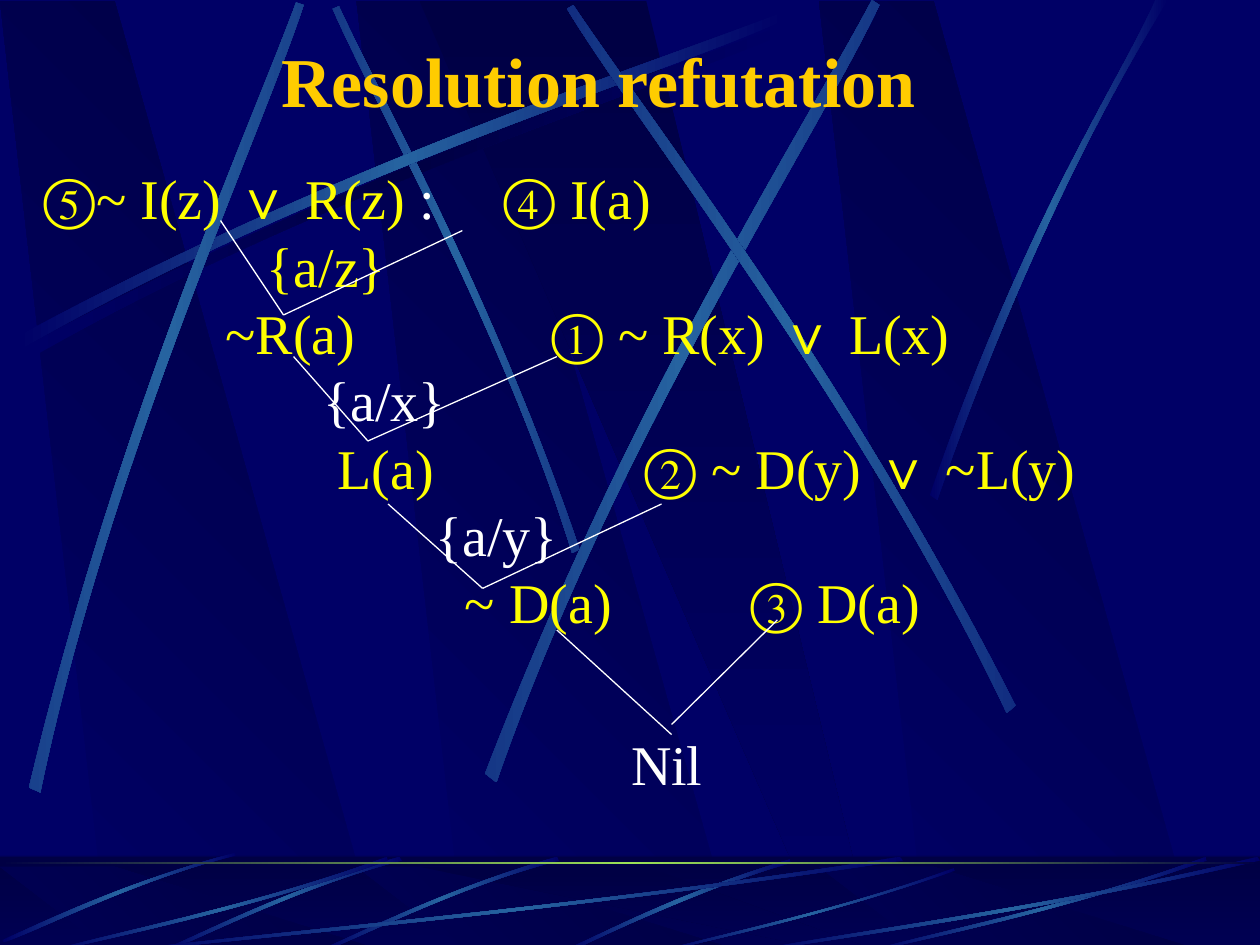
"""Build the slide that shows a resolution refutation as a tree."""
from math import cos, radians, sin

from lxml.etree import SubElement
from pptx import Presentation
from pptx.dml.color import RGBColor
from pptx.enum.shapes import MSO_CONNECTOR as Connector, MSO_SHAPE as Shape
from pptx.enum.text import MSO_ANCHOR as Anchor, PP_ALIGN as Align
from pptx.oxml import parse_xml
from pptx.oxml.ns import nsdecls, qn
from pptx.util import Inches, Pt

NAVY = RGBColor(0x00, 0x00, 0x66)
DARK = RGBColor(0x00, 0x00, 0x44)
STEEL = RGBColor(0x26, 0x63, 0xA0)
LIME = RGBColor(0x9C, 0xE1, 0x57)
GOLD = RGBColor(0xFF, 0xCC, 0x00)
YELLOW = RGBColor(0xFF, 0xFF, 0x00)
WHITE = RGBColor(0xFF, 0xFF, 0xFF)
SERIF, SANS = "Times New Roman", "Arial"

GLOW = (NAVY, STEEL, NAVY)
SHADE = (NAVY, DARK, NAVY)

LONG_ARC = ((0.14, 2.67), (2.78, 1.25), (5.18, 0.51), (6.2, 0.1),
            (6.23, 0.16), (5.22, 0.61), (2.48, 1.43), (0.17, 2.77))
SHORT_ARC = ((3.17, 6.8), (2.3, 7.05), (1.62, 7.4), (1.31, 7.53),
             (1.32, 7.55), (1.63, 7.43), (2.4, 7.03), (3.19, 6.83))
FLOOR_ARC = ((3.08, 6.83), (1.93, 7.23), (0.88, 7.44), (0.43, 7.55),
             (0.42, 7.54), (0.86, 7.41), (2.06, 7.18), (3.07, 6.8))

WALL_STREAKS = (
    (((4.6, 4.36), (3.91, 2.34), (3.02, 0.77), (2.69, 0.05),
      (2.64, 0.07), (2.95, 0.79), (3.98, 2.58), (4.54, 4.39)), 45),
    (LONG_ARC, 0),
    (((0.23, 6.25), (0.93, 3.34), (1.97, 1.05), (2.35, 0.02),
      (2.41, 0.04), (2.07, 1.08), (0.86, 3.68), (0.32, 6.29)), 311.7),
    (((3.85, 6.14), (4.98, 3.2), (6.38, 1.02), (6.92, 0),
      (6.98, 0.04), (6.49, 1.08), (4.86, 3.55), (3.94, 6.21)), 321.6),
    (((8.06, 5.6), (6.7, 2.93), (5.16, 0.95), (4.55, 0.04),
      (4.5, 0.07), (5.07, 1.01), (6.85, 3.25), (7.99, 5.66)), 34.8),
    (((7.38, 3.93), (8.14, 1.73), (8.88, 0.66), (9.17, 0),
      (9.27, 0), (8.36, 1.45), (7.69, 3.22), (7.44, 3.97)), 0),
)


def moved(points, dx, dy=0):
    """Return the points shifted by dx and dy."""
    return tuple((x + dx, y + dy) for x, y in points)


FLOOR_STREAKS = (
    (((6.27, 6.82), (5.37, 7.09), (4.77, 7.42), (4.48, 7.54),
      (4.53, 7.55), (4.9, 7.37), (5.71, 7), (6.28, 6.85)), 0),
    (moved(SHORT_ARC, 1.25), 314.9),
    (SHORT_ARC, 314.9),
    (((1.86, 6.77), (0.99, 7), (0.32, 7.33), (0.02, 7.46),
      (0.03, 7.48), (0.34, 7.37), (1.09, 6.98), (1.87, 6.79)), 314.9),
    (((7.17, 6.83), (4.49, 7.23), (2.06, 7.44), (1.03, 7.55),
      (1, 7.54), (2.02, 7.41), (4.8, 7.18), (7.14, 6.8)), 0),
    (FLOOR_ARC, 0),
    (((7.58, 6.91), (6.58, 7.26), (5.67, 7.45), (5.28, 7.55),
      (5.27, 7.54), (5.65, 7.43), (6.69, 7.22), (7.57, 6.89)), 0),
    (moved(FLOOR_ARC, 6.5), 0),
    (((10, 6.83), (8.27, 7.23), (6.69, 7.44), (6.02, 7.55),
      (6, 7.54), (6.66, 7.41), (8.46, 7.18), (9.98, 6.8)), 0),
)

OR = ("∨", YELLOW, SANS)
CLAUSES = (
    ((3.65,), (("⑤~ I(z) ", YELLOW), OR, (" R(z)", YELLOW),
               (" :\t", WHITE), ("④ I(a)", YELLOW))),
    ((1.77,), (("\t{a/z}", YELLOW),)),
    ((1.44, 4.03), (("\t~R(a)\t① ~ R(x) ", YELLOW), OR, (" L(x)", YELLOW))),
    ((2.22,), (("\t{a/x}", WHITE),)),
    ((2.33, 4.77), (("\tL(a)\t② ~ D(y) ", YELLOW), OR, (" ~L(y)", YELLOW))),
    ((3.11,), (("\t{a/y}", WHITE),)),
    ((3.34, 5.61), (("\t~ D(a)\t③ D(a)", YELLOW),)),
    ((4.66,), (("\tNil", WHITE),)),
)
BRANCHES = (
    (1.75, 1.75, 2.25, 2.5), (3.67, 1.83, 2.25, 2.5),
    (2.33, 2.83, 2.92, 3.5), (4.42, 2.83, 2.92, 3.5),
    (3.08, 4, 3.83, 4.67), (5.25, 4, 3.83, 4.67),
    (4.42, 5, 5.33, 5.83), (6.17, 4.92, 5.33, 5.75),
)


def paint(shape, colours, angle=0):
    """Fill a shape with an even linear gradient and no outline."""
    shape.shadow.inherit = False
    shape.line.fill.background()
    stops = "".join(
        f'<a:gs pos="{100000 * i // (len(colours) - 1)}"><a:srgbClr val="{colour}"/></a:gs>'
        for i, colour in enumerate(colours))
    gradient = parse_xml(
        f'<a:gradFill {nsdecls("a")} rotWithShape="0"><a:gsLst>{stops}</a:gsLst>'
        f'<a:lin ang="{angle * 60000}" scaled="1"/></a:gradFill>')
    shape.element.spPr.find(qn("a:ln")).addprevious(gradient)


def add_outline(shapes, points):
    """Add a closed freeform through points in inches."""
    corners = [(Inches(x), Inches(y)) for x, y in points]
    builder = shapes.build_freeform(*corners[0], scale=1.0)
    builder.add_line_segments(corners[1:], close=True)
    return builder.convert_to_shape()


def turned(x, y, angle):
    """Return a point turned clockwise about the slide's corner."""
    c, s = cos(radians(angle)), sin(radians(angle))
    return x * c - y * s, x * s + y * c


def bend(shape):
    """Turn the two long sides of an eight-point outline into cubic curves."""
    sides = list(shape.element.iter(qn("a:lnTo")))
    for trio in (sides[:3], sides[4:7]):
        curve = parse_xml(f'<a:cubicBezTo {nsdecls("a")}/>')
        trio[0].addprevious(curve)
        for side in trio:
            curve.append(side[0])
            side.getparent().remove(side)


def add_streak(shapes, points, angle=0, colours=GLOW):
    """Add a curved streak, drawn level and then rotated."""
    streak = add_outline(shapes, [turned(x, y, -angle) for x, y in points])
    bend(streak)
    x, y = turned(streak.left + streak.width / 2, streak.top + streak.height / 2, angle)
    streak.left, streak.top = int(x - streak.width / 2), int(y - streak.height / 2)
    streak.rotation = angle
    paint(streak, colours)


def add_beams(shapes, top, height):
    """Add the three slanted beams and the one that leans across them."""
    bottom = top + height
    for x in (2.83, 0, 6.5):
        beam = add_outline(shapes, ((x + 0.86, bottom), (x + 3.02, bottom),
                                    (x + 0.91, top), (x, top)))
        paint(beam, (NAVY, DARK), 315)
    cross = add_outline(shapes, ((3.33, top), (6.58, bottom), (6.94, bottom), (5.13, top)))
    paint(cross, (DARK, NAVY), 90)


def add_strip(shapes, top, height, colours, angle=0):
    """Add a full-width rectangle with a gradient."""
    strip = shapes.add_shape(Shape.RECTANGLE, 0, Inches(top), Inches(10), Inches(height))
    paint(strip, colours, angle)


def add_veil(shapes):
    """Add the half-transparent strip over the floor."""
    veil = shapes.add_shape(Shape.RECTANGLE, 0, Inches(6.79), Inches(10), Inches(0.75))
    veil.shadow.inherit = False
    veil.line.fill.background()
    veil.fill.solid()
    veil.fill.fore_color.rgb = DARK
    colour = veil.element.spPr.find(qn("a:solidFill")).find(qn("a:srgbClr"))
    SubElement(colour, qn("a:alpha"), val="50000")


def add_backdrop(page):
    """Draw the wall, the floor and the horizon, and hand them to the master."""
    master = page.slide_layout.slide_master
    master.background.fill.solid()
    master.background.fill.fore_color.rgb = NAVY
    group = page.shapes.add_group_shape()
    shapes = group.shapes
    add_beams(shapes, 0.01, 7.51)
    add_streak(shapes, moved(LONG_ARC, 0.06, 0.08), colours=SHADE)
    for points, angle in WALL_STREAKS:
        add_streak(shapes, points, angle)
    add_strip(shapes, 6.8, 0.75, (DARK, NAVY), 90)
    add_beams(shapes, 6.88, 0.66)
    add_veil(shapes)
    for points, angle in FLOOR_STREAKS:
        add_streak(shapes, points, angle)
    add_strip(shapes, 6.84, 0.02, (DARK, LIME, DARK))
    for number, label in enumerate(group.element.iter(qn("p:cNvPr")), start=100):
        label.set("id", str(number))
    master.placeholders[0].element.addprevious(group.element)


def add_span(para, text, size=32, colour=YELLOW, font=SERIF, bold=False):
    """Add a formatted run to a paragraph."""
    span = para.add_run()
    span.text = text
    span.font.size, span.font.name, span.font.bold = Pt(size), font, bold
    span.font.color.rgb = colour


def set_title(page, text):
    """Place and format the title."""
    title = page.shapes.title
    title.left, title.top = Inches(0.5), Inches(0.25)
    title.width, title.height = Inches(8.5), Inches(0.77)
    title.text_frame.vertical_anchor = Anchor.MIDDLE
    para = title.text_frame.paragraphs[0]
    para.alignment = Align.CENTER
    add_span(para, text, size=40, colour=GOLD, bold=True)


def add_clauses(page):
    """Add the clauses, each line on its own tab stops."""
    box = page.shapes.add_textbox(Inches(0.25), Inches(1.25), Inches(9.75), Inches(5.83))
    frame = box.text_frame
    frame.word_wrap = True
    for i, (stops, spans) in enumerate(CLAUSES):
        para = frame.add_paragraph() if i else frame.paragraphs[0]
        para.line_spacing = Pt(38.5)
        tabs = SubElement(para._p.get_or_add_pPr(), qn("a:tabLst"))
        for stop in stops:
            SubElement(tabs, qn("a:tab"), pos=str(Inches(stop)), algn="l")
        for text, colour, *font in spans:
            add_span(para, text, colour=colour, font=font[0] if font else SERIF)
    para.space_before = Pt(54)


def add_branch(page, *ends):
    """Add a thin white line of the tree."""
    branch = page.shapes.add_connector(Connector.STRAIGHT, *map(Inches, ends))
    branch.line.color.rgb = WHITE
    branch.line.width = Pt(0.75)
    SubElement(branch.element.spPr, qn("a:effectLst"))


def main():
    """Build and save the deck."""
    deck = Presentation()
    deck.slide_width, deck.slide_height = Inches(10), Inches(7.5)
    page = deck.slides.add_slide(deck.slide_layouts[5])
    add_backdrop(page)
    set_title(page, "Resolution refutation")
    add_clauses(page)
    for ends in BRANCHES:
        add_branch(page, *ends)
    deck.save("out.pptx")


if __name__ == "__main__":
    main()
